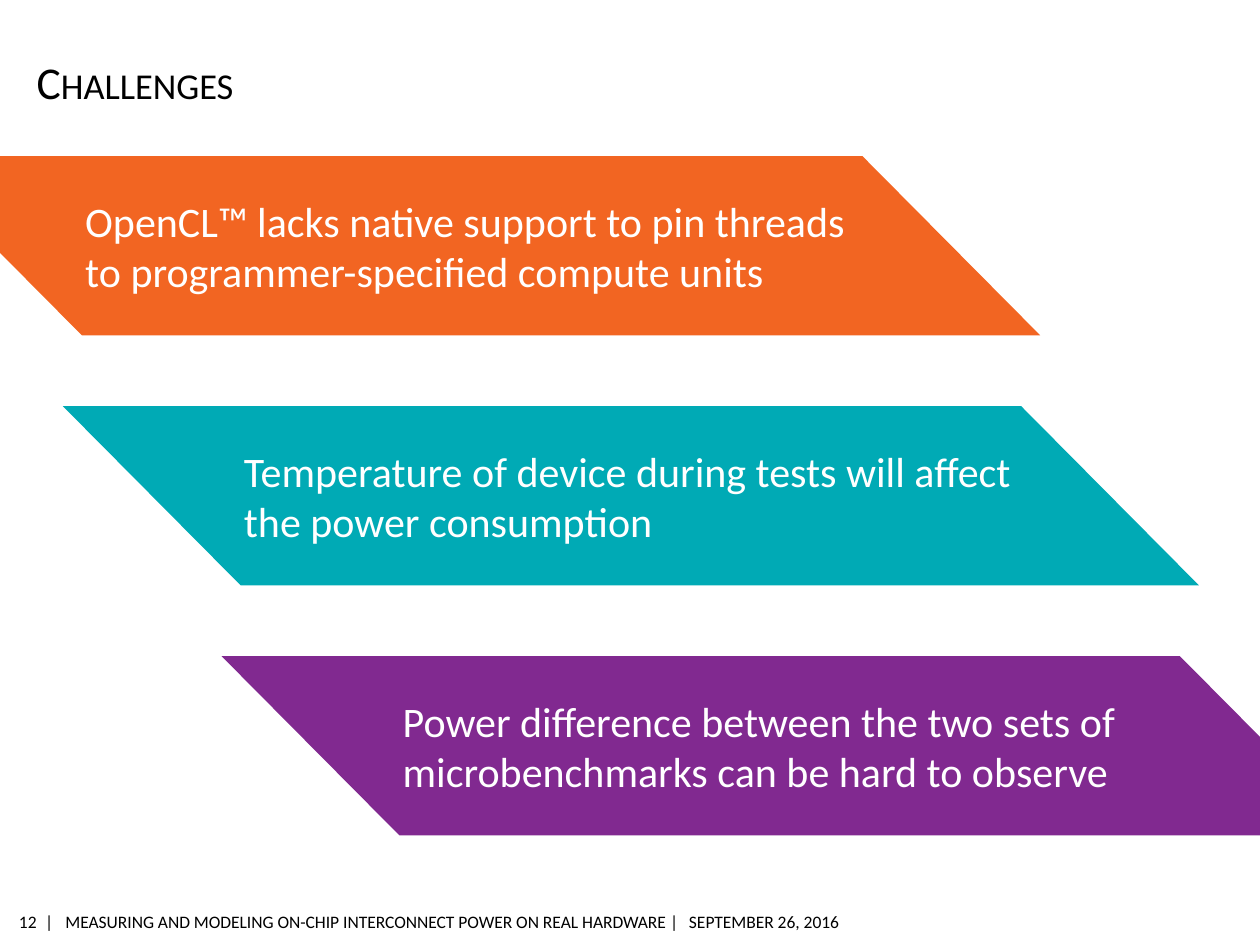
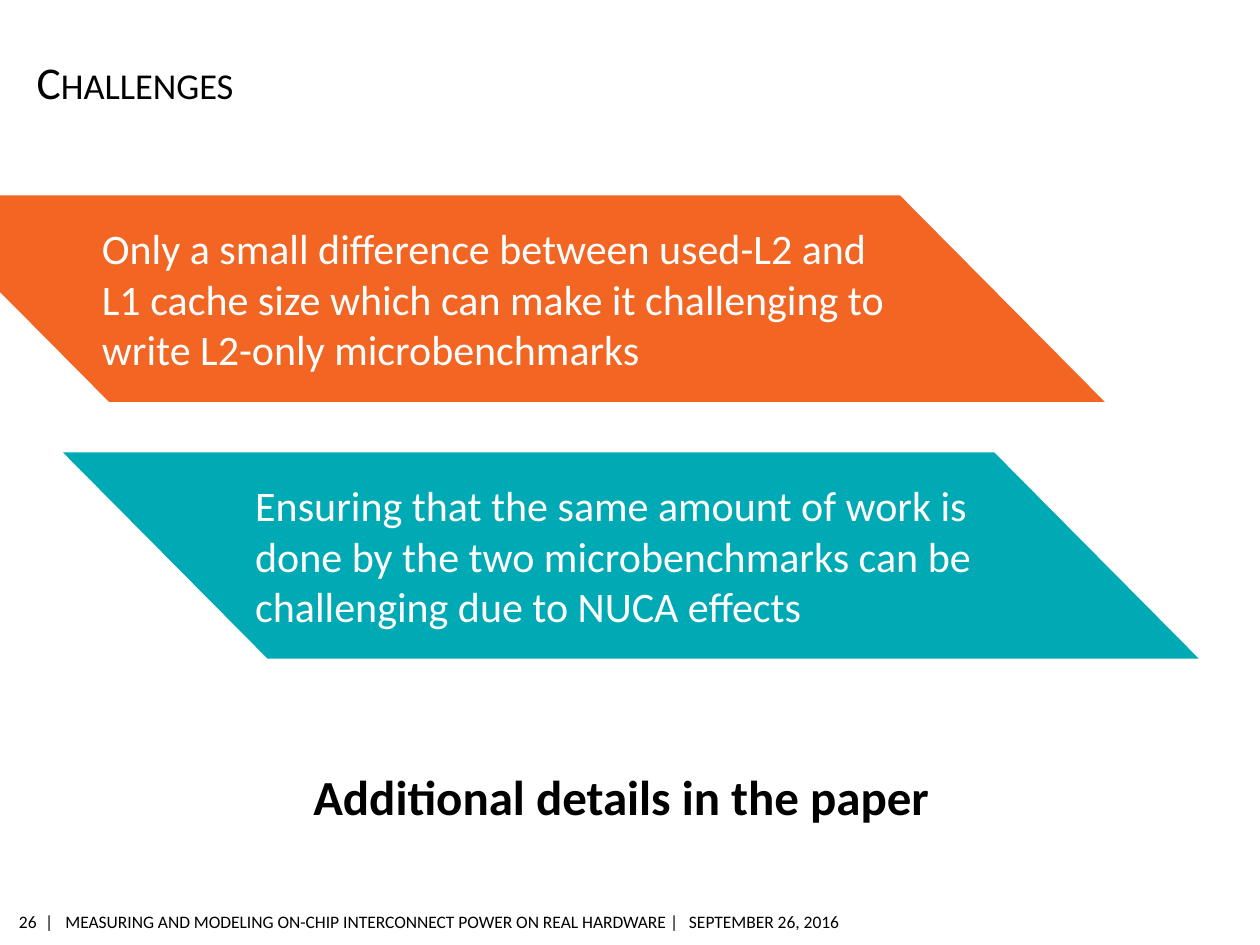
from dataclasses import dataclass

from lxml.etree import SubElement
from pptx import Presentation
from pptx.dml.color import RGBColor
from pptx.enum.shapes import MSO_SHAPE
from pptx.enum.text import MSO_ANCHOR, MSO_AUTO_SIZE, PP_ALIGN
from pptx.oxml.ns import qn
from pptx.util import Cm, Pt


# Theme: colours, font and type sizes
@dataclass(frozen=True)
class Theme:
    font: str = "Calibri"
    black: str = "000000"
    white: str = "FFFFFF"
    orange: str = "F26522"
    teal: str = "00AAB5"
    purple: str = "812990"
    footer_size: int = 10
    band_size: int = 24
    title_size: int = 26
    closing_size: int = 28


THEME = Theme()
FOOTER = ("|\tMEASURING AND MODELING ON-CHIP INTERCONNECT POWER ON REAL HARDWARE"
          "\t|\tSEPTEMBER 26, 2016")
FOOTER_TABS = (0.41, 12.6, 12.98)
BAND_LEFT, BAND_STEP = -1.93, 3.2


def write(tf, text, size, color, bold=False, small_caps=False,
          align=PP_ALIGN.LEFT, anchor=MSO_ANCHOR.MIDDLE, after=0,
          insets=(0.25, 0.13, 0.25, 0.13), tabs=(), wrap=True, grow=False):
    """Put one formatted paragraph into a text frame."""
    tf.word_wrap = wrap
    tf.auto_size = MSO_AUTO_SIZE.SHAPE_TO_FIT_TEXT if grow else MSO_AUTO_SIZE.NONE
    tf.vertical_anchor = anchor
    tf.margin_left, tf.margin_top, tf.margin_right, tf.margin_bottom = map(Cm, insets)
    p = tf.paragraphs[0]
    p.alignment = align
    p.space_after = Pt(after)
    if tabs:
        tab_list = SubElement(p._p.get_or_add_pPr(), qn("a:tabLst"))
        for pos in tabs:
            SubElement(tab_list, qn("a:tab"), pos=str(int(Cm(pos))), algn="l")
    r = p.add_run()
    r.text = text
    r.font.name = THEME.font
    r.font.size = Pt(size)
    r.font.bold = bold
    r.font.color.rgb = RGBColor.from_string(color)
    if small_caps:
        r.font._element.set("cap", "small")


class Deck:
    """Holds the theme and the current slide."""

    def __init__(self, prs, theme):
        self.prs, self.theme, self.s = prs, theme, None

    def slide(self, title, number):
        self.s = self.prs.slides.add_slide(self.prs.slide_layouts[6])
        self.footer(number)
        self.text(title, 0.74, 0.86, 20.83, 1.32, size=self.theme.title_size,
                  small_caps=True, anchor=MSO_ANCHOR.BOTTOM, insets=(0, 0.13, 0, 0))

    def text(self, text, left, top, width, height, **fmt):
        box = self.s.shapes.add_textbox(*map(Cm, (left, top, width, height)))
        write(box.text_frame, text, color=self.theme.black, **fmt)

    def footer(self, number):
        style = dict(size=self.theme.footer_size, insets=(0, 0.1, 0, 0.1), grow=True)
        self.text(str(number), 0.33, 18.24, 0.41, 0.66,
                  align=PP_ALIGN.RIGHT, wrap=False, **style)
        self.text(FOOTER, 0.91, 18.24, 16.51, 0.66, tabs=FOOTER_TABS, **style)

    def band(self, text, color, left, top, width, height):
        sp = self.s.shapes.add_shape(MSO_SHAPE.PARALLELOGRAM,
                                     *map(Cm, (left, top, width, height)))
        sp.adjustments[0] = 0.992
        sp._element.spPr.find(qn("a:xfrm")).set("flipH", "1")
        sp.shadow.inherit = False
        sp.fill.solid()
        sp.fill.fore_color.rgb = RGBColor.from_string(color)
        sp.line.fill.background()
        write(sp.text_frame, text, self.theme.band_size, self.theme.white)

    def bands(self, items, top, step, height):
        """Stack bands downwards, each one shifted to the right."""
        for i, (text, color, width) in enumerate(items):
            self.band(text, color, BAND_LEFT + i * BAND_STEP, top + i * step,
                      width, height)


def main():
    prs = Presentation()
    prs.slide_width, prs.slide_height = Cm(25.4), Cm(19.05)
    deck = Deck(prs, THEME)

    # Challenges of the measurement
    deck.slide("Challenges", 12)
    deck.bands([
        ("OpenCL™ lacks native support to pin threads to programmer-specified "
         "compute units", THEME.orange, 22.9),
        ("Temperature of device during tests will affect the power consumption",
         THEME.teal, 22.9),
        ("Power difference between the two sets of microbenchmarks can be hard "
         "to observe", THEME.purple, 22.9),
    ], top=3.15, step=5.04, height=3.61)

    # Challenges of the microbenchmarks
    deck.slide("Challenges", 26)
    deck.bands([
        ("Only a small difference between used-L2 and L1 cache size which can make "
         "it challenging to write L2-only microbenchmarks", THEME.orange, 24.2),
        ("Ensuring that the same amount of work is done by the two microbenchmarks "
         "can be challenging due to NUCA effects", THEME.teal, 22.9),
    ], top=3.94, step=5.18, height=4.16)
    deck.text("Additional details in the paper", 3.45, 15.32, 18.14, 1.45,
              size=THEME.closing_size, bold=True, align=PP_ALIGN.CENTER,
              anchor=MSO_ANCHOR.TOP, after=6, grow=True)

    prs.save("out.pptx")


if __name__ == "__main__":
    main()
